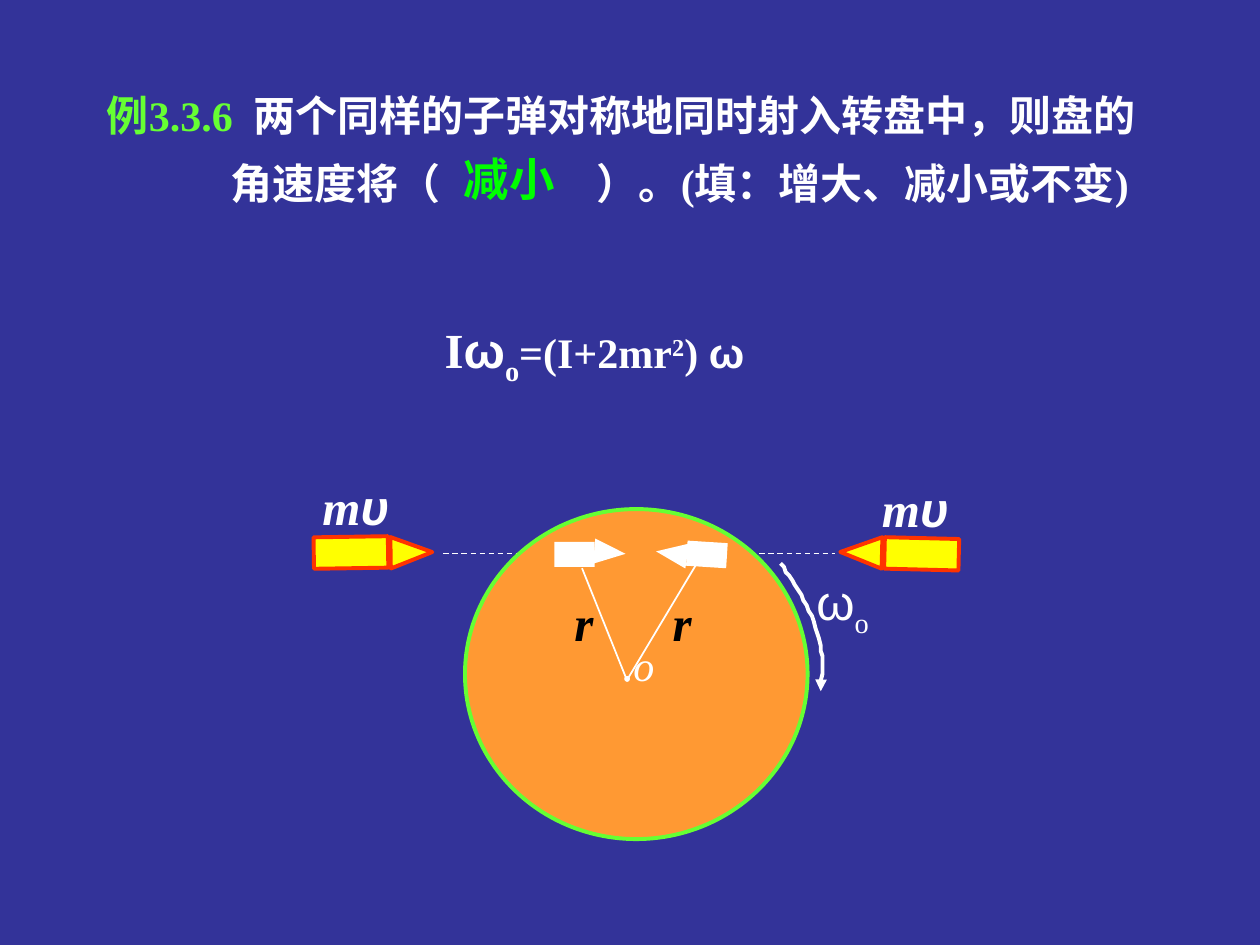
from lxml import etree
from pptx import Presentation, util as u
from pptx.dml.color import RGBColor
from pptx.enum import dml, shapes, text
from pptx.oxml.ns import qn

NAVY = RGBColor(0x33, 0x33, 0x99)
WHITE = RGBColor(0xFF, 0xFF, 0xFF)
BLACK = RGBColor(0, 0, 0)
YELLOW = RGBColor(0xFF, 0xFF, 0)
RED = RGBColor(0xFF, 0x33, 0)
ORANGE = RGBColor(0xFF, 0x99, 0x33)
LIME = RGBColor(0x66, 0xFF, 0x33)
GREEN = RGBColor(0, 0xFF, 0)
SERIF, SANS = "Times New Roman", "Arial"
RECT = shapes.MSO_SHAPE.RECTANGLE
TRI = shapes.MSO_SHAPE.ISOSCELES_TRIANGLE
OVAL = shapes.MSO_SHAPE.OVAL

# Content: each run is (text, format changes)
QUESTION = [
    ("例3.3.6", dict(color=LIME)),
    (" ", dict(spacing=6)),
    ("两个同样的子弹对称地同时射入转盘中，则盘的角速度将（", {}),
    (" ", dict(spacing=84)),
    ("）。(填：增大、减小或不变)", {}),
]
FORMULA = [
    ("I", dict(size=28)), ("ω", dict(size=28, font=SANS)),
    ("o", dict(size=28, base=-25)), ("=(I+2mr", {}), ("2", dict(base=30)),
    (") ", {}), ("ω", dict(font=SANS)),
]
MOMENTUM = [("m", {}), ("υ", dict(font=SANS))]
OMEGA_0 = [("ω", dict(font=SANS)), ("o", dict(base=-25))]
CENTRE = [(".", {}), ("o", dict(size=24, italic=True))]

# Shapes: preset, (left, top, width, height), rotation
BULLETS = [
    (RECT, (517.7, 295.2, 18, 42.5), 271.4),
    (TRI, (483.1, 303.8, 18, 23.8), 271.4),
    (RECT, (191.5, 294.5, 18, 42.5), 89.1),
    (TRI, (226.1, 303.8, 18, 23.8), 89.1),
]
EMBEDDED = [
    (TRI, (341.3, 306.7, 14.4, 18), 94.8),
    (RECT, (316.8, 309.6, 23, 14.4), 0),
    (TRI, (376.6, 307.4, 14.4, 18), 278.5),
    (RECT, (392.4, 309.6, 23, 14.4), 183.6),
]
RADII = [((332.6, 324.7), (358.6, 389.5)), ((358.6, 388.1), (397.4, 323.3))]
ROTATION_ARC = [
    ((445.7, 321.8), (450.7, 328.3), (455, 334.8), (459.4, 342.7)),
    ((459.4, 342.7), (463, 350.6), (467.3, 360), (468.7, 368.6)),
    ((468.7, 368.6), (470.9, 377.3), (469.4, 386.6), (468.7, 395.3)),
]

prs = Presentation()
prs.slide_width, prs.slide_height = u.Pt(720), u.Pt(540)
s = prs.slides.add_slide(prs.slide_layouts[6])
s.background.fill.solid()
s.background.fill.fore_color.rgb = NAVY


def add_text(runs, box, hanging=0, line_spacing=None, **base_format):
    tf = s.shapes.add_textbox(*map(u.Pt, box)).text_frame
    tf.word_wrap = True
    tf.auto_size = text.MSO_AUTO_SIZE.SHAPE_TO_FIT_TEXT
    p = tf.paragraphs[0]
    if line_spacing:
        p.line_spacing = line_spacing
    if hanging:
        pPr = p._p.get_or_add_pPr()
        pPr.set("marL", str(u.Pt(hanging)))
        pPr.set("indent", str(-u.Pt(hanging)))
    for words, changes in runs:
        f = dict(size=28, font=SERIF, color=WHITE, bold=False, italic=False)
        f.update(base_format)
        f.update(changes)
        r = p.add_run()
        r.text = words
        r.font.size, r.font.name = u.Pt(f["size"]), f["font"]
        r.font.bold, r.font.italic = f["bold"], f["italic"]
        r.font.color.rgb = f["color"]
        rPr = r._r.get_or_add_rPr()
        if "base" in f:
            rPr.set("baseline", str(f["base"] * 1000))
        if "spacing" in f:
            rPr.set("spc", str(f["spacing"] * 100))


def add_shape(kind, box, rotation=0, fill=WHITE, line=None):
    sp = s.shapes.add_shape(kind, *map(u.Pt, box))
    sp.rotation = rotation
    sp.shadow.inherit = False
    sp.fill.solid()
    sp.fill.fore_color.rgb = fill
    if line is None:
        sp.line.fill.background()
    else:
        sp.line.color.rgb, sp.line.width = line, u.Pt(2.25)


def add_line(start, end, width):
    c = s.shapes.add_connector(shapes.MSO_CONNECTOR.STRAIGHT,
                               *map(u.Pt, start + end))
    c.line.color.rgb, c.line.width = WHITE, u.Pt(width)
    etree.SubElement(c._element.spPr, qn("a:effectLst"))
    return c


def bezier(points, t):
    weights = ((1 - t) ** 3, 3 * t * (1 - t) ** 2, 3 * t * t * (1 - t), t ** 3)
    return tuple(sum(w * pt[i] for w, pt in zip(weights, points))
                 for i in (0, 1))


def add_arc_arrow(curves, steps=8):
    points = [bezier(c, k / steps) for c in curves for k in range(1, steps + 1)]
    x, y = curves[0][0]
    fb = s.shapes.build_freeform(x, y, scale=u.Pt(1))
    fb.add_line_segments(points, close=False)
    sp = fb.convert_to_shape()
    sp.shadow.inherit = False
    sp.fill.background()
    sp.line.color.rgb, sp.line.width = WHITE, u.Pt(2.25)
    etree.SubElement(sp.line._get_or_add_ln(), qn("a:tailEnd"), type="triangle")


# Question
add_text(QUESTION, (54, 37.4, 625, 123.8), hanging=70.6, line_spacing=1.35,
         size=24, bold=True)

# Incoming bullets and their path
for bullet in BULLETS:
    add_shape(*bullet, fill=YELLOW, line=RED)
add_line((253.4, 316.1), (477.4, 316.1), 0.75).line.dash_style = dml.MSO_LINE.DASH

# Turntable
add_shape(OVAL, (265.7, 290.9, 195.8, 188.6), fill=ORANGE, line=LIME)
add_text(CENTRE, (347.8, 357.8, 33.8, 41))
add_arc_arrow(ROTATION_ARC)
add_text(OMEGA_0, (459.4, 323.3, 49, 45.4))
for left, top in ((177.1, 268.6), (496.8, 270)):
    add_text(MOMENTUM, (left, top, 77.8, 41), bold=True, italic=True)

# Embedded bullets and radii
for bullet in EMBEDDED:
    add_shape(*bullet)
for start, end in RADII:
    add_line(start, end, 1)
for left in (377.3, 321.1):
    add_text([("r", {})], (left, 334.8, 28.8, 41),
             color=BLACK, bold=True, italic=True)

# Formula and answer
add_text(FORMULA, (247, 179.3, 260.6, 45.4), size=24, bold=True)
add_text([("减小", {})], (257.8, 82.8, 85, 38.9),
         size=26, color=GREEN, bold=True)

prs.save("out.pptx")
